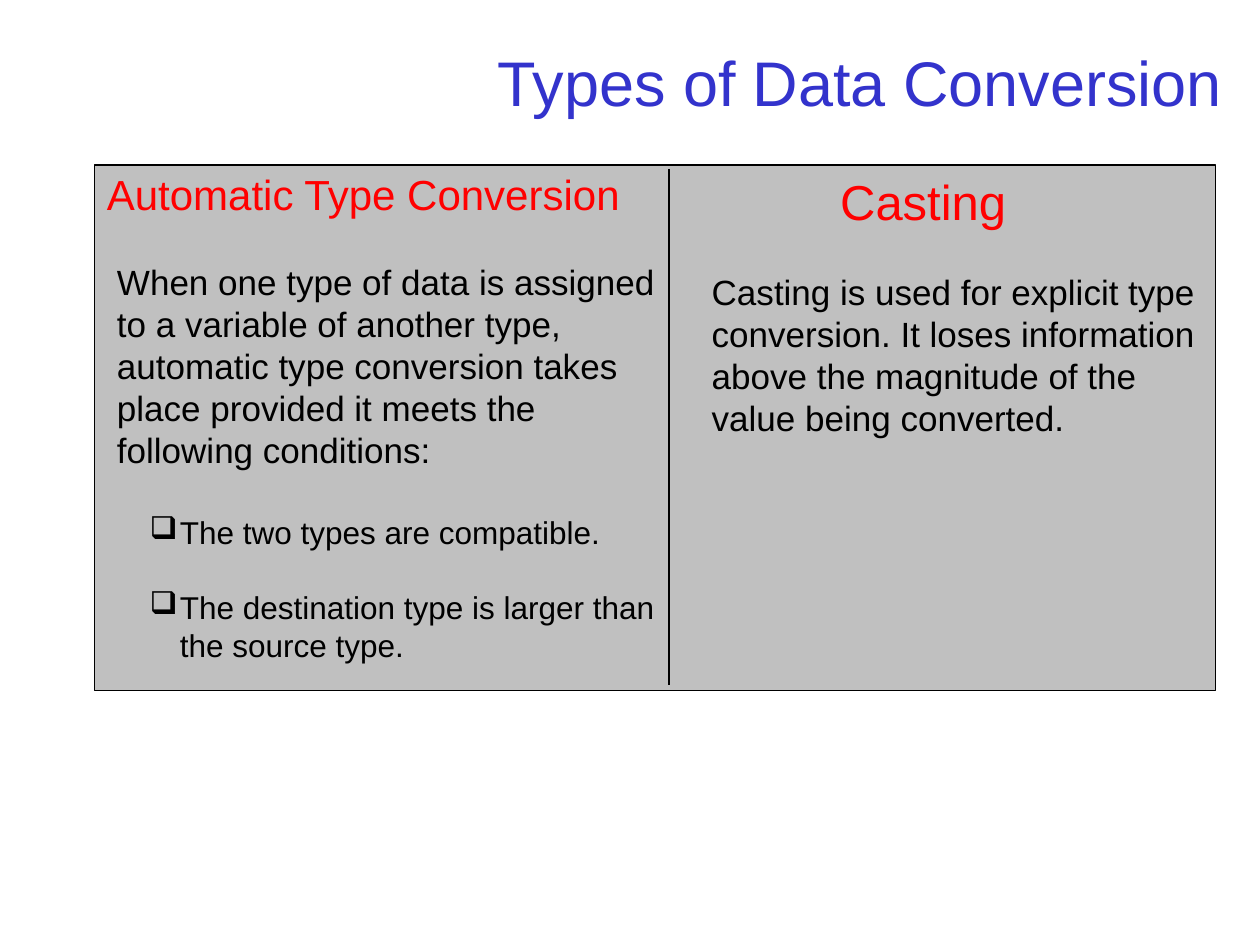
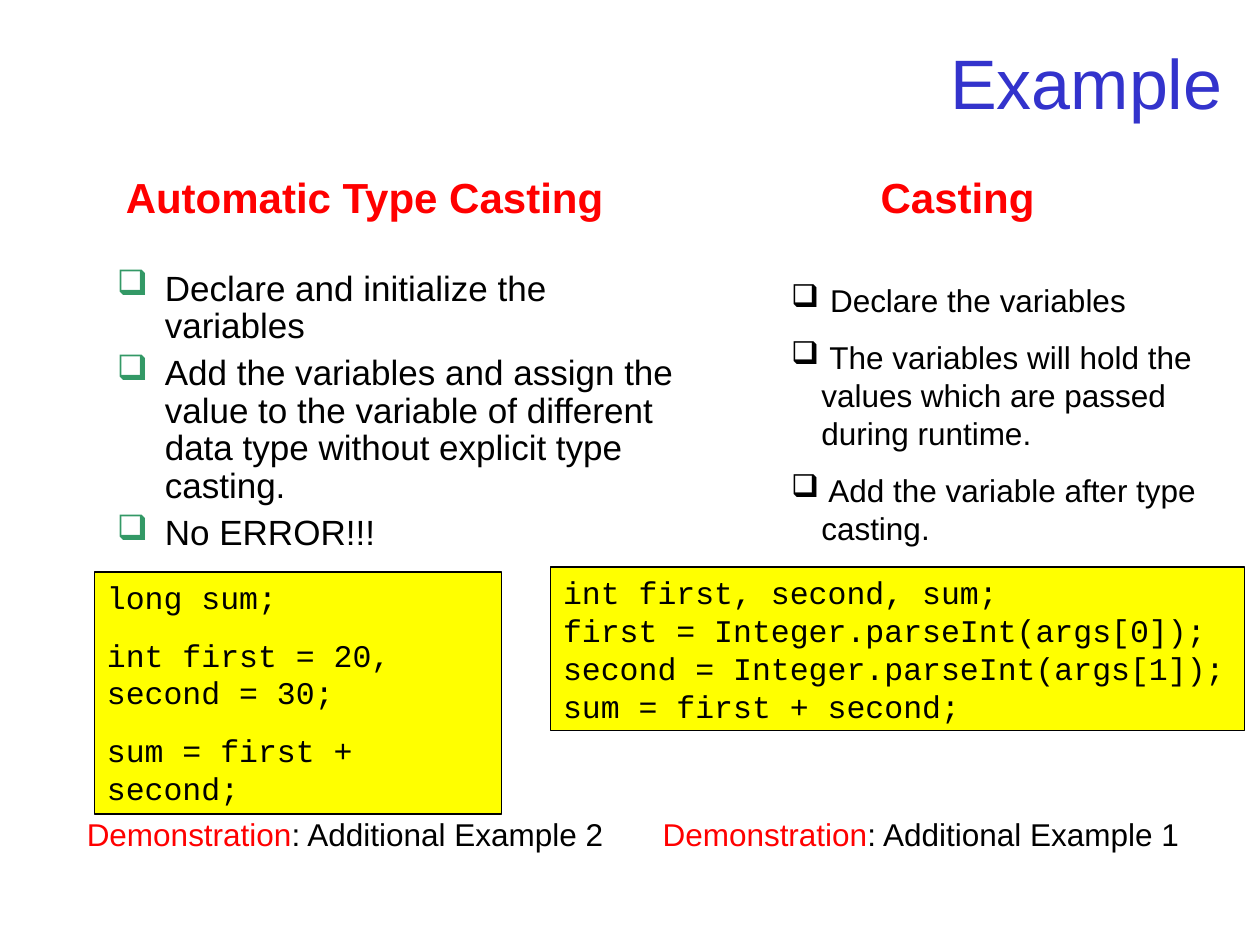
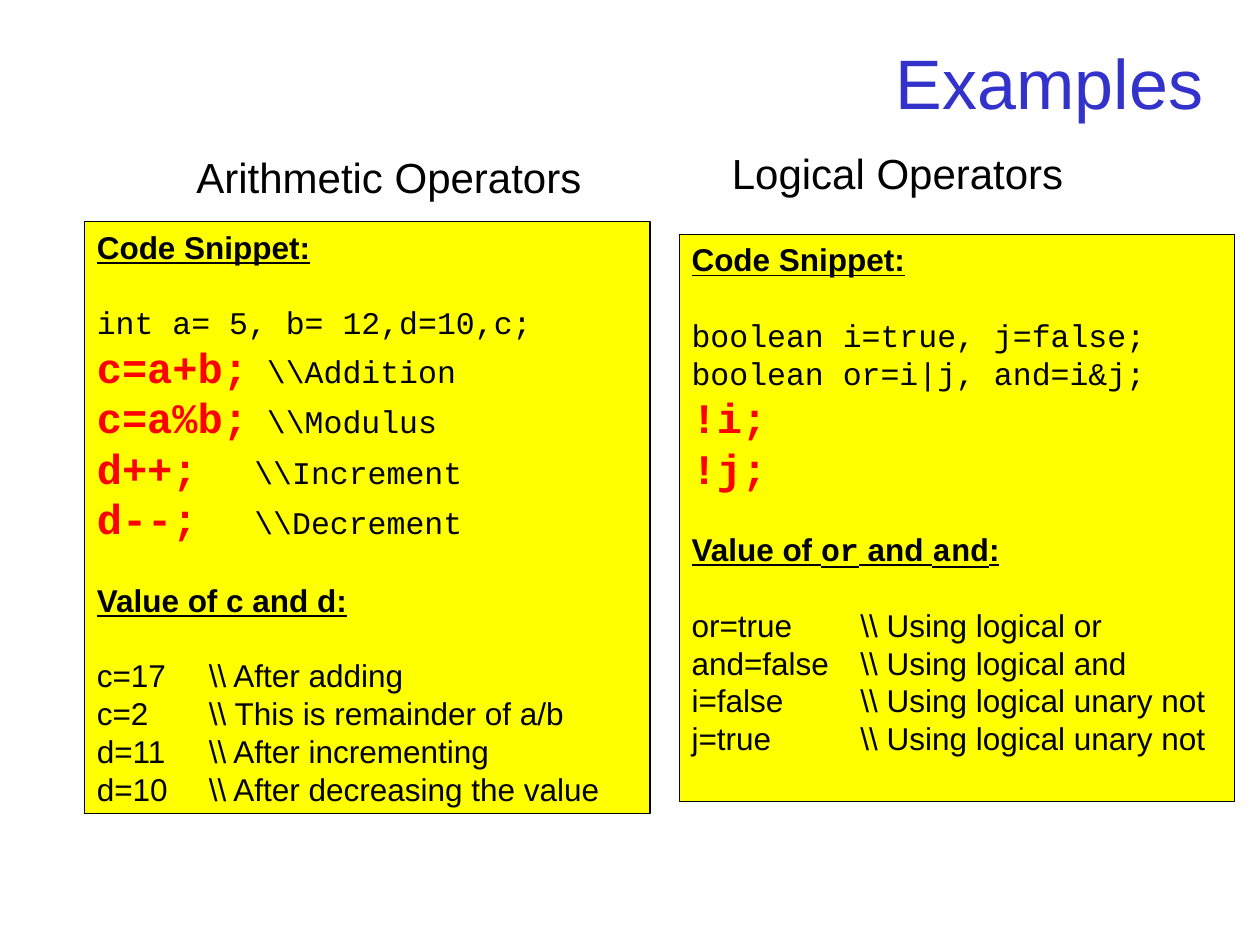
import dataclasses

import pptx
import pptx.dml.color
import pptx.enum.shapes
import pptx.enum.text
import pptx.oxml.ns
import pptx.util
from lxml import etree

COLORS = {
    "title": "3333CC", "accent": "FF0000", "text": "000000",
    "panel": "C0C0C0", "code": "FFFF00", "bullet": "339966",
}
SANS, MONO = "Arial", "Courier New"

# Grid: 100 columns by 75 rows of square cells
SLIDE_W, SLIDE_H = pptx.util.Inches(10), pptx.util.Inches(7.5)
CELL = SLIDE_W // 100
LINE = 1.2  # height of one line as a share of its text size


@dataclasses.dataclass
class Run:
    text: str
    size: float = 18
    font: str = SANS
    color: str = "text"
    bold: bool = False
    underline: bool = False


@dataclasses.dataclass
class Para:
    runs: list
    before: float = 0
    spacing: float = 1.0
    bullet: str = ""
    margin: float = 0   # columns
    hang: float = 0     # columns
    tab: float = 0      # columns


def cells(*values):
    return [round(v * CELL) for v in values]


def rgb(name):
    return pptx.dml.color.RGBColor.from_string(COLORS[name])


def add_element(parent, tag, **attributes):
    el = etree.SubElement(parent, pptx.oxml.ns.qn(tag))
    for key, value in attributes.items():
        el.set(key, str(value))
    return el


def format_para(p, para):
    """Spacing, hanging bullet and tab stop of one paragraph."""
    p.space_before = pptx.util.Pt(para.before)
    p.line_spacing = para.spacing
    ppr = p._p.get_or_add_pPr()
    if para.bullet:
        margin, hang = cells(para.margin, para.hang)
        ppr.set("marL", str(margin))
        ppr.set("indent", str(-hang))
        color = add_element(ppr, "a:buClr")
        add_element(color, "a:srgbClr", val=COLORS[para.bullet])
        add_element(ppr, "a:buChar", char="\u2751")
    if para.tab:
        tabs = add_element(ppr, "a:tabLst")
        add_element(tabs, "a:tab", pos=cells(para.tab)[0], algn="l")


def write(sp, paras, align="LEFT", anchor="TOP"):
    tf = sp.text_frame
    tf.word_wrap = True
    tf.vertical_anchor = getattr(pptx.enum.text.MSO_ANCHOR, anchor)
    for i, para in enumerate(paras):
        p = tf.add_paragraph() if i else tf.paragraphs[0]
        p.alignment = getattr(pptx.enum.text.PP_ALIGN, align)
        format_para(p, para)
        for run in para.runs:
            r = p.add_run()
            r.text = run.text
            r.font.name = run.font
            r.font.size = pptx.util.Pt(run.size)
            r.font.bold = run.bold
            r.font.underline = run.underline
            r.font.color.rgb = rgb(run.color)


def add_text(s, at, paras, **layout):
    write(s.shapes.add_textbox(*cells(*at)), paras, **layout)


def add_box(shapes, at, fill):
    sp = shapes.add_shape(pptx.enum.shapes.MSO_SHAPE.RECTANGLE, *cells(*at))
    sp.shadow.inherit = False
    sp.fill.solid()
    sp.fill.fore_color.rgb = rgb(fill)
    sp.line.color.rgb = rgb("text")
    sp.line.width = pptx.util.Pt(0.74)
    return sp


def add_line(shapes, *ends):
    line = shapes.add_connector(
        pptx.enum.shapes.MSO_CONNECTOR.STRAIGHT, *cells(*ends))
    line.line.color.rgb = rgb("text")
    line.line.width = pptx.util.Pt(0.74)
    add_element(line._element.spPr, "a:effectLst")


def add_code(s, at, paras):
    write(add_box(s.shapes, at, "code"), paras)


def add_heading(s, at, text, size=24, color="accent", bold=False):
    add_text(s, at, [Para([Run(text, size, color=color, bold=bold)])])


def new_slide(prs, title, size=40):
    s = prs.slides.add_slide(prs.slide_layouts[6])
    add_text(s, (30.3, 2.1, 67.7, 8.7),
             [Para([Run(title, size, color="title")])],
             align="RIGHT", anchor="MIDDLE")
    return s


def code(text, before=0):
    return Para([Run(text, font=MONO)], before)


def key_code(text, comment="", tab=0):
    """A code line in large red, with a small comment after it."""
    runs = [Run(text, 24, MONO, "accent", True)]
    if comment:
        runs.append(Run(comment, font=MONO))
    return Para(runs, tab=tab)


def label(*parts, before=0):
    """Underlined label; every second part is set as code."""
    return Para([Run(t, font=(SANS, MONO)[i % 2], bold=True, underline=True)
                 for i, t in enumerate(parts)], before)


def results(rows, tab):
    """Values and their comments in two columns, one line below a label."""
    return [Para([Run(f"{value}\t\\\\ {note}")],
                 before=0 if i else 18 * LINE, tab=tab)
            for i, (value, note) in enumerate(rows)]


def conversion_slide(prs):
    s = new_slide(prs, "Types of Data Conversion", 36)
    # Panel with its divider
    panel = s.shapes.add_group_shape().shapes
    add_box(panel, (7.5, 13.1, 89, 41.7), "panel")
    add_line(panel, 53.1, 13.4, 53.1, 54.4)
    # Left half
    add_heading(s, (7.5, 12.9, 43.3, 5), "Automatic Type Conversion")
    conditions = ["The two types are compatible.",
                  "The destination type is larger than the source type."]
    intro = ("When one type of data is assigned to a variable of another "
             "type, automatic type conversion takes place provided it meets "
             "the following conditions:")
    add_text(s, (8.3, 20.2, 44.9, 33), [Para([Run(intro, 20)])] + [
        Para([Run(t)], before=(18 if i else 20) * LINE,
             bullet="text", margin=5, hang=2.4)
        for i, t in enumerate(conditions)])
    # Right half
    add_heading(s, (65.7, 13.1, 17.3, 5.7), "Casting", 28)
    add_text(s, (55.5, 21, 42.5, 14.4), [Para([Run(
        "Casting is used for explicit type conversion. It loses information "
        "above the magnitude of the value being converted. ", 20)])])


def casting_slide(prs):
    s = new_slide(prs, "Example")
    # Steps
    steps = ["Declare and initialize the variables",
             "Add the variables and assign the value to the variable of "
             "different data type without explicit type casting.",
             "No ERROR!!!"]
    add_text(s, (8.3, 21, 48, 20.5), [
        Para([Run(t, 20)], 5 if i else 0, 0.9, "bullet", 3.8, 3.8)
        for i, t in enumerate(steps)])
    steps = [" Declare the variables",
             " The variables will hold the values which are passed during "
             "runtime.",
             " Add the variable after type casting."]
    add_text(s, (61.8, 21.8, 34.6, 22.2), [
        Para([Run(t)], 11.2 if i else 0, 1, "text", 2.4, 2.4)
        for i, t in enumerate(steps)])
    # Code
    add_code(s, (7.5, 45.4, 32.3, 19.2), [
        code("long sum;"),
        code("int first = 20, second = 30; ", 11.2),
        code("sum = first + second;", 11.2)])
    add_code(s, (43.7, 45, 55.1, 13), [code(t) for t in (
        "int first, second, sum;",
        "first = Integer.parseInt(args[0]);",
        "second = Integer.parseInt(args[1]);",
        "sum = first + second;")])
    # Headings and demonstrations
    for left, width, text in ((9, 45.7, "Automatic Type Casting"),
                              (68.9, 25.2, "Casting")):
        add_heading(s, (left, 13.1, width, 5), text, bold=True)
    for left, number in ((5.9, 2), (51.6, 1)):
        add_text(s, (left, 64.2, 44.1, 4), [Para([
            Run("Demonstration", color="accent"),
            Run(f": Additional Example {number}")])])


def operators_slide(prs):
    s = new_slide(prs, "Examples ")
    gap = 18 * LINE
    # Arithmetic
    add_heading(s, (14.6, 11.5, 33.1, 5), "Arithmetic Operators", color="text")
    add_code(s, (6.7, 17.6, 44.9, 47), [
        label("Code Snippet:"),
        code("int a= 5, b= 12,d=10,c;", gap),
        key_code("c=a+b;", " \\\\Addition"),
        key_code("c=a%b;", " \\\\Modulus"),
        key_code("d++;", "\t\\\\Increment", 12.5),
        key_code("d--;", "\t\\\\Decrement", 12.5),
        label("Value of c and d:", before=gap),
        *results([("c=17", "After adding"),
                  ("c=2", "This is remainder of a/b"),
                  ("d=11", "After incrementing"),
                  ("d=10", "After decreasing the value")], 8.9)])
    # Logical
    add_heading(s, (57.1, 11.2, 33.1, 5), "Logical Operators", color="text")
    add_code(s, (53.9, 18.6, 44.1, 45), [
        label("Code Snippet:"),
        code("boolean i=true, j=false;", gap),
        code("boolean or=i|j, and=i&j; "),
        key_code("!i;"),
        key_code("!j;"),
        label("Value of ", "or", " and ", "and", ":", before=gap),
        *results([("or=true", "Using logical or"),
                  ("and=false", "Using logical and"),
                  ("i=false", "Using logical unary not"),
                  ("j=true", "Using logical unary not")], 13.4)])


def main():
    prs = pptx.Presentation()
    prs.slide_width, prs.slide_height = SLIDE_W, SLIDE_H
    conversion_slide(prs)
    casting_slide(prs)
    operators_slide(prs)
    prs.save("out.pptx")


main()
